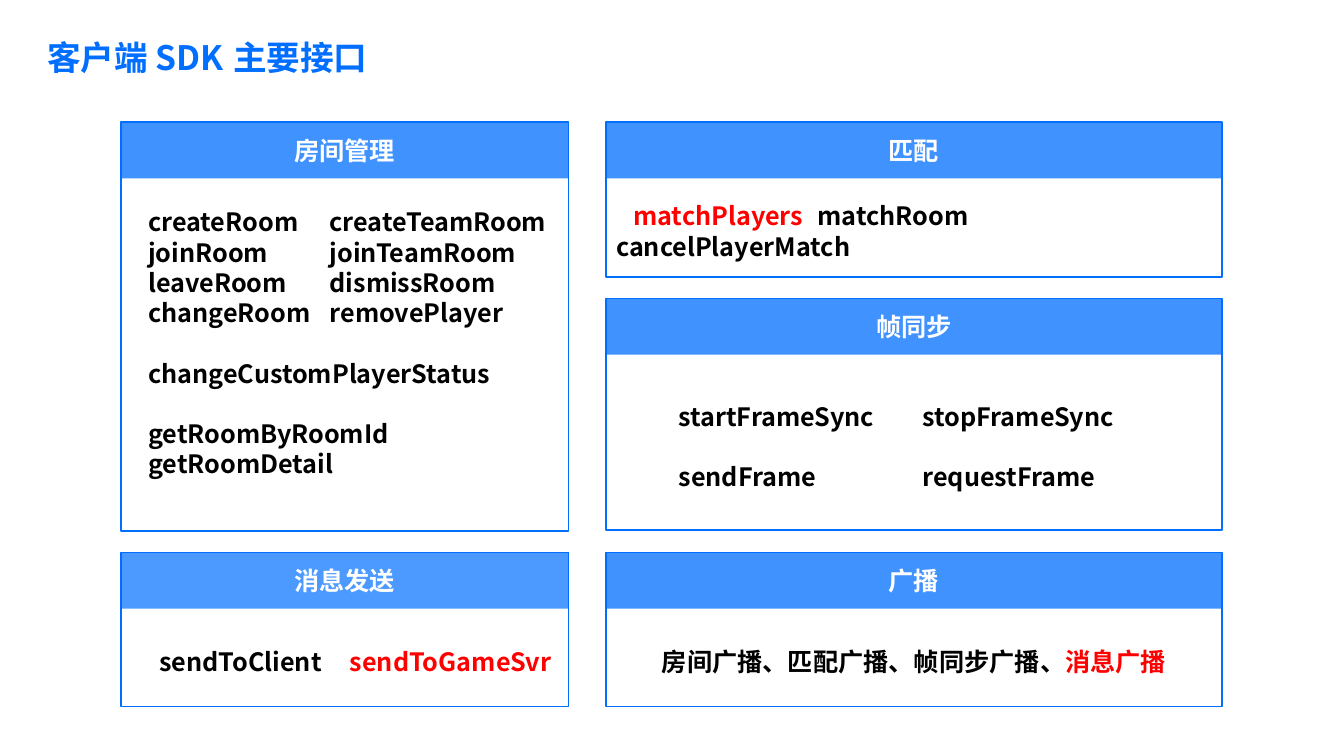
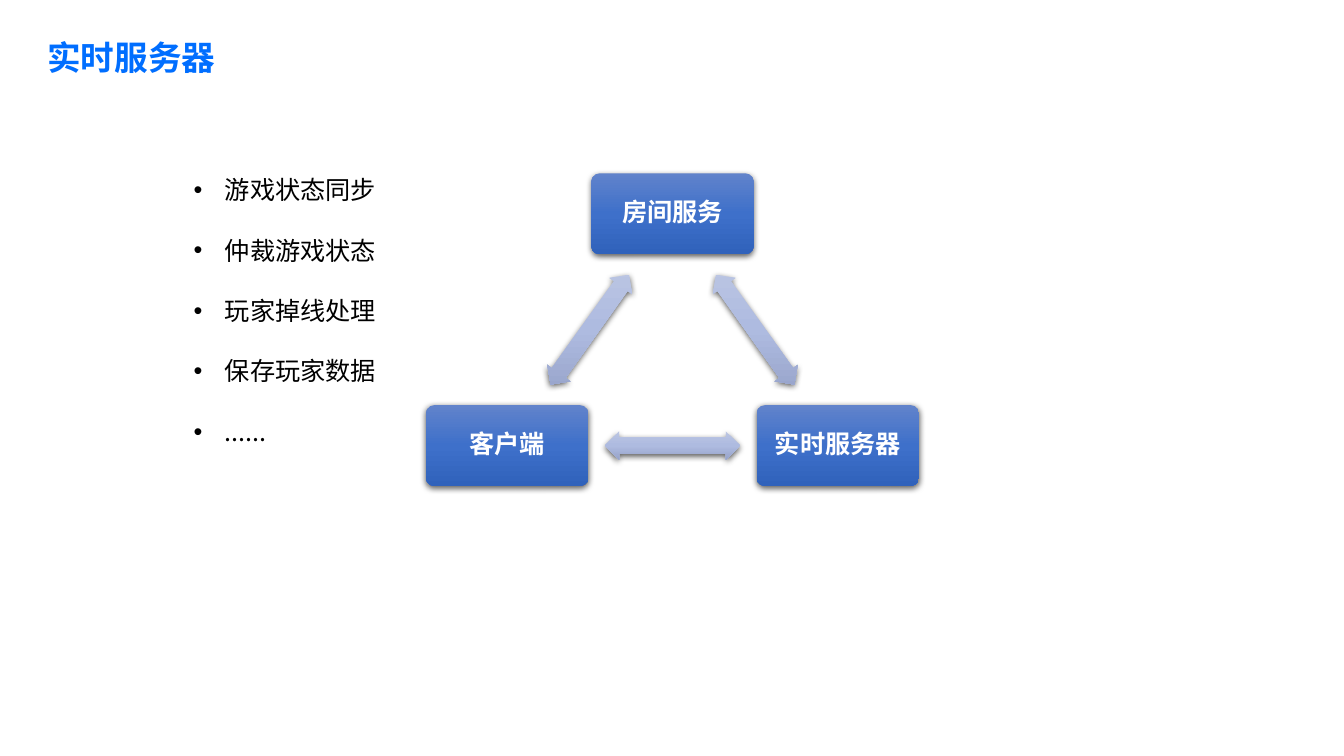
from itertools import combinations
from math import atan2, degrees

from lxml import etree
from pptx import Presentation
from pptx.dml.color import RGBColor
from pptx.enum.shapes import MSO_SHAPE as SHAPE
from pptx.enum.text import MSO_ANCHOR as ANCHOR, PP_ALIGN as ALIGN
from pptx.oxml import parse_xml
from pptx.oxml.ns import nsdecls, qn
from pptx.util import Inches, Pt

# Shared style
SANS, TITLE_FONT = "Noto Sans CJK SC", "Arial"
TITLE_BLUE, BLUE = "006EFF", "016EFF"
BLACK, WHITE, RED = "000000", "FFFFFF", "FF0000"
NODE_GRADIENT = ("6183CB", "3E70CA", "3062BB")
ARROW_GRADIENT = ("BBC5E3", "AEBBE0", "98A4CB")
LINE_PT = 21.6
HEADER_H = 0.56


def rgb(value):
    return RGBColor.from_string(value)


def add_run(p, text, size=18, font=SANS, color=BLACK, bold=True):
    r = p.add_run()
    r.text = text
    r.font.size, r.font.name, r.font.bold = Pt(size), font, bold
    r.font.color.rgb = rgb(color)
    etree.SubElement(r.font._element, qn("a:ea")).set("typeface", SANS)


def setup_frame(shape, inset=0.0, anchor=ANCHOR.TOP):
    tf = shape.text_frame
    tf.word_wrap = True
    tf.vertical_anchor = anchor
    tf.margin_left = tf.margin_right = Inches(inset)
    tf.margin_top = tf.margin_bottom = Inches(inset)
    return tf


def add_textbox(s, x, y, w, h, inset=0.0):
    box = s.shapes.add_textbox(Inches(x), Inches(y), Inches(w), Inches(h))
    return setup_frame(box, inset)


def add_box(s, kind, x, y, w, h):
    shape = s.shapes.add_shape(kind, Inches(x), Inches(y), Inches(w), Inches(h))
    shape.shadow.inherit = False
    shape.line.fill.background()
    return shape


def add_lines(tf, lines, tab=None, align=ALIGN.LEFT, indent=0.0):
    """Each line is (runs, blank lines before); each run is (text, colour)."""
    for i, (runs, gap) in enumerate(lines):
        p = tf.paragraphs[0] if i == 0 else tf.add_paragraph()
        p.alignment = align
        p.line_spacing = Pt(LINE_PT)
        p.space_before = Pt(gap * LINE_PT)
        p_pr = p._p.get_or_add_pPr()
        if indent and i == 0:
            p_pr.set("indent", str(Inches(indent)))
        if tab:
            tabs = etree.SubElement(p_pr, qn("a:tabLst"))
            etree.SubElement(tabs, qn("a:tab"), pos=str(Inches(tab)), algn="l")
        for text, color in runs:
            add_run(p, text, color=color)


def add_title(s, *runs):
    p = add_textbox(s, 0.37, 0.36, 4.02, 0.74).paragraphs[0]
    tf = s.shapes[-1].text_frame
    tf.margin_left = tf.margin_right = Inches(0.1)
    tf.margin_top = tf.margin_bottom = Inches(0.05)
    p.line_spacing = 0.9
    for text, font in runs:
        add_run(p, text, size=24, font=font, color=TITLE_BLUE)


def add_panel(s, x, y, w, h, heading, lines, dx, dy, alpha=75, **text_format):
    """Outlined panel; dx and dy place its text from the panel corner."""
    frame = add_box(s, SHAPE.RECTANGLE, x, y, w, h)
    frame.fill.background()
    frame.line.color.rgb = rgb(BLUE)
    frame.line.width = Pt(1)
    # Translucent header band
    header = add_box(s, SHAPE.RECTANGLE, x, y, w, HEADER_H)
    header.fill.solid()
    header.fill.fore_color.rgb = rgb(BLUE)
    color = header._element.spPr.find(".//" + qn("a:srgbClr"))
    etree.SubElement(color, qn("a:alpha"), val=str(alpha * 1000))
    p = setup_frame(header, 0.05, ANCHOR.MIDDLE).paragraphs[0]
    p.alignment = ALIGN.CENTER
    add_run(p, heading, color=WHITE)
    # Interface names
    tf = add_textbox(s, x + dx, y + dy, w - dx, h - dy)
    add_lines(tf, lines, **text_format)


def style_relief(shape, colors):
    """Vertical three-stop gradient with a soft shadow below."""
    stops = "".join(
        f'<a:gs pos="{i * 50000}"><a:srgbClr val="{c}"/></a:gs>'
        for i, c in enumerate(colors))
    sp_pr = shape._element.spPr
    sp_pr.find(qn("a:prstGeom")).addnext(parse_xml(
        f'<a:gradFill {nsdecls("a")} rotWithShape="0"><a:gsLst>{stops}</a:gsLst>'
        '<a:lin ang="5400000" scaled="0"/></a:gradFill>'))
    sp_pr.find(qn("a:effectLst")).append(parse_xml(
        f'<a:outerShdw {nsdecls("a")} blurRad="{Pt(4.5)}" dist="{Pt(1.5)}" '
        'dir="5400000" algn="ctr" rotWithShape="0"><a:srgbClr val="000000">'
        '<a:alpha val="63000"/></a:srgbClr></a:outerShdw>'))


def add_node(s, cx, cy, text, w=1.61, h=0.8):
    node = add_box(s, SHAPE.ROUNDED_RECTANGLE, cx - w / 2, cy - h / 2, w, h)
    node.adjustments[0] = 0.1
    style_relief(node, NODE_GRADIENT)
    p = setup_frame(node, 0.07, ANCHOR.MIDDLE).paragraphs[0]
    p.alignment = ALIGN.CENTER
    p.line_spacing = 0.9
    add_run(p, text, color=WHITE)


def add_link(s, start, end, w=1.34, h=0.28):
    """Double arrow midway between two node centres."""
    (x1, y1), (x2, y2) = start, end
    arrow = add_box(s, SHAPE.LEFT_RIGHT_ARROW,
                    (x1 + x2 - w) / 2, (y1 + y2 - h) / 2, w, h)
    arrow.adjustments[0], arrow.adjustments[1] = 0.6, 0.5
    arrow.rotation = degrees(atan2(y2 - y1, x2 - x1))
    style_relief(arrow, ARROW_GRADIENT)


def add_triangle(s, cx, top, half_w, h):
    nodes = [("客户端", (cx - half_w, top + h)),
             ("房间服务", (cx, top)),
             ("实时服务器", (cx + half_w, top + h))]
    for text, (x, y) in nodes:
        add_node(s, x, y, text)
    for (_, start), (_, end) in combinations(nodes, 2):
        add_link(s, start, end)


def add_bullets(s, x, y, w, h, items, hang=0.31):
    tf = add_textbox(s, x, y, w, h)
    for i, text in enumerate(items):
        p = tf.paragraphs[0] if i == 0 else tf.add_paragraph()
        p_pr = p._p.get_or_add_pPr()
        p_pr.set("marL", str(Inches(hang)))
        p_pr.set("indent", str(-Inches(hang)))
        etree.SubElement(p_pr, qn("a:buFont"), typeface="Arial")
        etree.SubElement(p_pr, qn("a:buChar"), char="•")
        p.line_spacing = Pt(LINE_PT)
        p.space_before = Pt(LINE_PT if i else 0)
        add_run(p, text, bold=False)


def build_interfaces(s):
    add_title(s, ("客户端 ", TITLE_FONT), ("SDK", SANS), (" 主要接口", TITLE_FONT))
    left, left_w, right, right_w = 1.2, 4.44, 6.01, 6.11
    top, bottom, bottom_h = 1.21, 5.48, 1.53

    def plain(text, gap=0):
        return [(text, BLACK)], gap

    add_panel(s, left, top, left_w, 4.06, "房间管理", [
        plain("createRoom\tcreateTeamRoom"),
        plain("joinRoom\tjoinTeamRoom"),
        plain("leaveRoom\tdismissRoom"),
        plain("changeRoom\tremovePlayer"),
        plain("changeCustomPlayerStatus", 1),
        plain("getRoomByRoomId", 1),
        plain("getRoomDetail"),
    ], 0.27, 0.84, tab=1.8)
    add_panel(s, right, top, right_w, 1.54, "匹配", [
        ([("matchPlayers\t", RED), ("matchRoom", BLACK)], 0),
        plain("cancelPlayerMatch"),
    ], 0.1, 0.78, tab=2.09, indent=0.17)
    add_panel(s, right, 2.96, right_w, 2.3, "帧同步", [
        plain("startFrameSync\tstopFrameSync"),
        plain("sendFrame\trequestFrame", 1),
    ], 0.72, 1.02, tab=2.42)
    add_panel(s, left, bottom, left_w, bottom_h, "消息发送", [
        ([("sendToClient\t", BLACK), ("sendToGameSvr", RED)], 0),
    ], 0.38, 0.93, alpha=70, tab=1.89)
    add_panel(s, right, bottom, right_w, bottom_h, "广播", [
        ([("房间广播、匹配广播、帧同步广播、", BLACK), ("消息广播", RED)], 0),
    ], 0, 0.93, align=ALIGN.CENTER)


def build_server(s):
    add_title(s, ("实时服务器", TITLE_FONT))
    add_triangle(s, cx=6.67, top=2.12, half_w=1.64, h=2.3)
    add_bullets(s, 1.92, 1.73, 2.57, 2.7, [
        "游戏状态同步", "仲裁游戏状态", "玩家掉线处理", "保存玩家数据", "......"])


def main():
    prs = Presentation()
    prs.slide_width, prs.slide_height = Inches(13.33), Inches(7.5)
    for build in (build_interfaces, build_server):
        build(prs.slides.add_slide(prs.slide_layouts[6]))
    prs.save("out.pptx")


if __name__ == "__main__":
    main()
